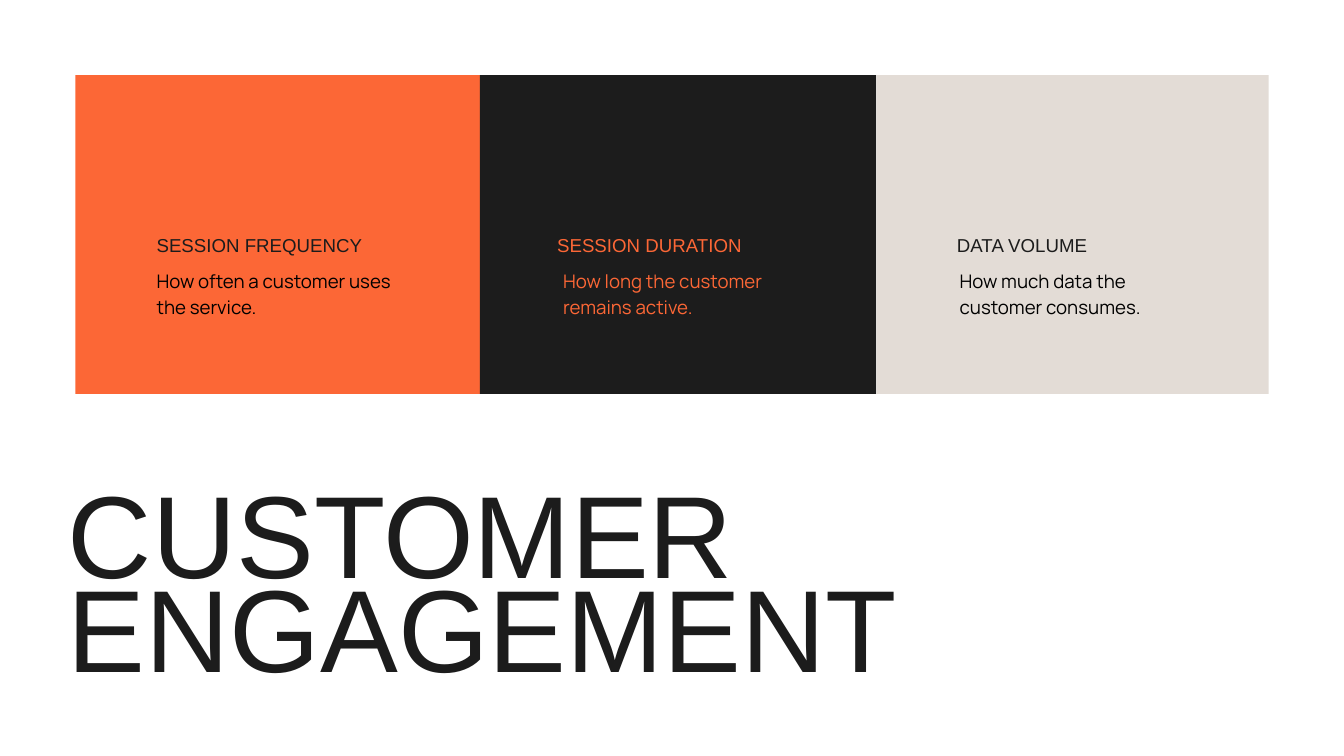
from pptx import Presentation
from pptx.dml.color import RGBColor
from pptx.enum import shapes, text
from pptx.util import Inches, Pt

COLORS = {
    "orange": "FC6736",
    "ink": "1C1C1C",
    "sand": "E3DCD6",
    "black": "000000",
}

# width, fill, heading colour, body colour, heading inset, body inset, body width, heading, body
PANELS = [
    (6.02, "orange", "ink", "black", 1.21, 1.21, 3.6,
     "SESSION FREQUENCY", "How often a customer uses the service."),
    (5.9, "ink", "orange", "orange", 1.15, 1.24, 3.23,
     "SESSION DURATION", "How long the customer remains active."),
    (5.84, "sand", "ink", "black", 1.2, 1.24, 3.6,
     "DATA VOLUME", "How much data the customer consumes."),
]


def color(name):
    return RGBColor.from_string(COLORS[name])


def write(shape, content, *, font, size, fill, spacing):
    """Fill a shape with left-aligned text, one paragraph per line."""
    frame = shape.text_frame
    frame.word_wrap = True
    frame.auto_size = text.MSO_AUTO_SIZE.NONE
    frame.vertical_anchor = text.MSO_ANCHOR.TOP
    frame.margin_left = frame.margin_right = 0
    frame.margin_top = frame.margin_bottom = 0
    frame.text = content
    for paragraph in frame.paragraphs:
        paragraph.alignment = text.PP_ALIGN.LEFT
        paragraph.line_spacing = Pt(spacing)
        paragraph.space_before = Pt(0)
        for run in paragraph.runs:
            run.font.name = font
            run.font.size = Pt(size)
            run.font.color.rgb = color(fill)


def add_text(slide, left, top, width, height, content, **style):
    box = slide.shapes.add_textbox(
        Inches(left), Inches(top), Inches(width), Inches(height))
    write(box, content, **style)


def add_panel(slide, left, top, height, panel):
    (width, fill, heading_color, body_color, heading_inset, body_inset,
     body_width, heading, body) = panel
    card = slide.shapes.add_shape(
        shapes.MSO_SHAPE.RECTANGLE,
        Inches(left), Inches(top), Inches(width), Inches(height))
    card.shadow.inherit = False
    card.fill.solid()
    card.fill.fore_color.rgb = color(fill)
    card.line.fill.background()
    add_text(slide, left + heading_inset, top + 2.39, 3.6, 0.31, heading,
             font="Arial", size=20, fill=heading_color, spacing=21.4)
    add_text(slide, left + body_inset, top + 2.84, body_width, 0.78, body,
             font="Manrope", size=20, fill=body_color, spacing=28)


def add_panels(slide, left, top, height):
    for panel in PANELS:
        add_panel(slide, left, top, height, panel)
        left += panel[0]


def add_title(slide, left, top, width, height):
    title = slide.shapes.title
    title.left, title.top = Inches(left), Inches(top)
    title.width, title.height = Inches(width), Inches(height)
    write(title, "CUSTOMER\nENGAGEMENT",
          font="Arial", size=125, fill="ink", spacing=101.2)


def main():
    presentation = Presentation()
    presentation.slide_width = Inches(20)
    presentation.slide_height = Inches(11.25)
    title_only = presentation.slide_layouts[5]
    slide = presentation.slides.add_slide(title_only)
    add_panels(slide, 1.12, 1.12, 4.74)
    add_title(slide, 1.01, 7.55, 15.47, 2.99)
    presentation.save("out.pptx")


if __name__ == "__main__":
    main()
